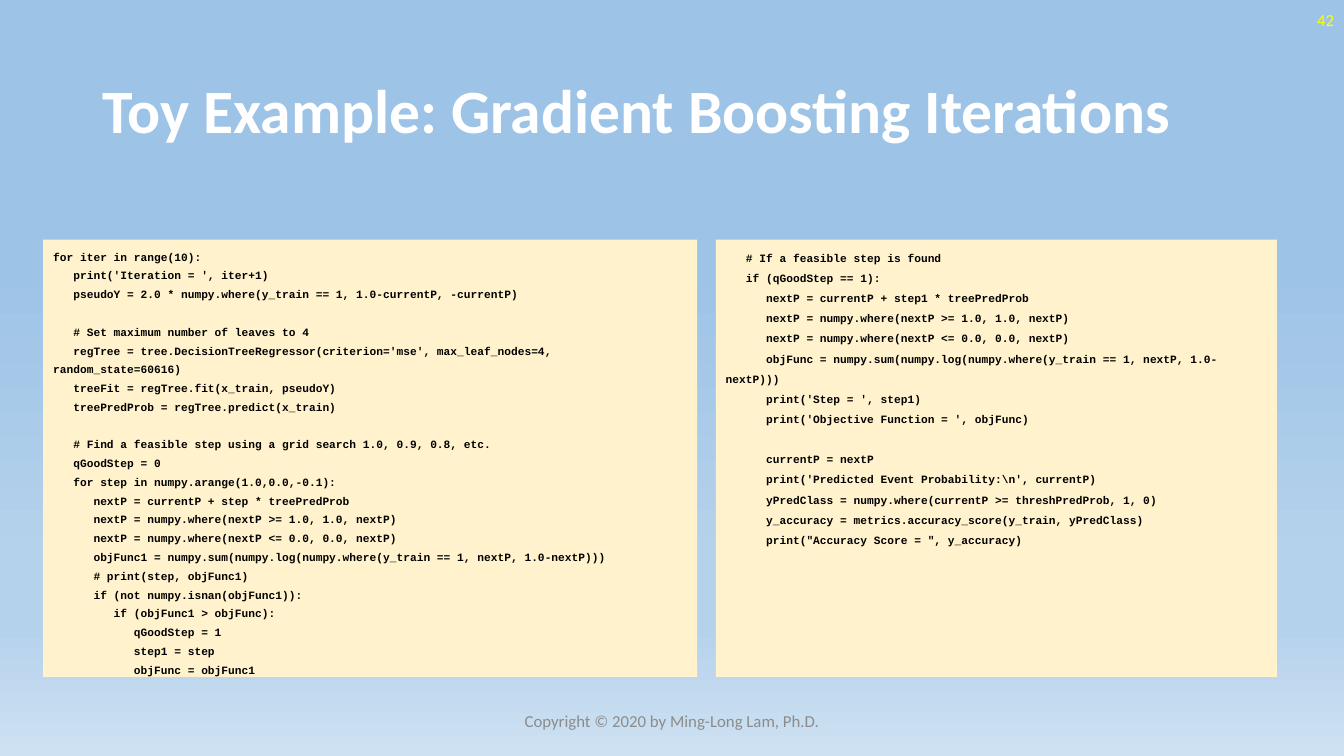
"""Build the slide on gradient boosting iterations with two code panels."""
from pptx import Presentation
from pptx.dml.color import RGBColor
from pptx.enum.shapes import MSO_SHAPE as Shape
from pptx.enum.text import MSO_ANCHOR as Anchor, PP_ALIGN as Align
from pptx.oxml import parse_xml
from pptx.oxml.ns import nsdecls, qn
from pptx.util import Cm, Pt

WHITE = RGBColor(0xFF, 0xFF, 0xFF)
YELLOW = RGBColor(0xFF, 0xFF, 0x00)
GRAY = RGBColor(0x8C, 0x8C, 0x8C)
BLACK = RGBColor(0x00, 0x00, 0x00)
CREAM = RGBColor(0xFF, 0xF2, 0xCC)
SKY = RGBColor(0x9D, 0xC3, 0xE6)
PALE_SKY = RGBColor(0xB5, 0xD2, 0xEC)
MIST = RGBColor(0xCE, 0xE1, 0xF2)
BACKGROUND_STOPS = [(35, SKY), (74, PALE_SKY), (83, PALE_SKY), (100, MIST)]
CODE_LINE_HEIGHT = 9.58

SEARCH_BLOCKS = [
    """for iter in range(10):
   print('Iteration = ', iter+1)
   pseudoY = 2.0 * numpy.where(y_train == 1, 1.0-currentP, -currentP)""",
    """   # Set maximum number of leaves to 4
   regTree = tree.DecisionTreeRegressor(criterion='mse', max_leaf_nodes=4, random_state=60616)
   treeFit = regTree.fit(x_train, pseudoY)
   treePredProb = regTree.predict(x_train)""",
    """   # Find a feasible step using a grid search 1.0, 0.9, 0.8, etc.
   qGoodStep = 0
   for step in numpy.arange(1.0,0.0,-0.1):
      nextP = currentP + step * treePredProb
      nextP = numpy.where(nextP >= 1.0, 1.0, nextP)
      nextP = numpy.where(nextP <= 0.0, 0.0, nextP)
      objFunc1 = numpy.sum(numpy.log(numpy.where(y_train == 1, nextP, 1.0-nextP)))
      # print(step, objFunc1)
      if (not numpy.isnan(objFunc1)):
         if (objFunc1 > objFunc):
            qGoodStep = 1
            step1 = step
            objFunc = objFunc1""",
]

UPDATE_BLOCKS = [
    """   # If a feasible step is found
   if (qGoodStep == 1):
      nextP = currentP + step1 * treePredProb
      nextP = numpy.where(nextP >= 1.0, 1.0, nextP)
      nextP = numpy.where(nextP <= 0.0, 0.0, nextP)
      objFunc = numpy.sum(numpy.log(numpy.where(y_train == 1, nextP, 1.0-nextP)))
      print('Step = ', step1)
      print('Objective Function = ', objFunc)""",
    r"""      currentP = nextP
      print('Predicted Event Probability:\n', currentP)
      yPredClass = numpy.where(currentP >= threshPredProb, 1, 0)
      y_accuracy = metrics.accuracy_score(y_train, yPredClass)
      print("Accuracy Score = ", y_accuracy)""",
]


def add_line(para, text, align, spacing, font_format):
    """Write one formatted line of text into a paragraph."""
    para.alignment = align
    para.line_spacing = spacing
    span = para.add_run()
    span.text = text
    for name, value in font_format.items():
        if name == "color":
            span.font.color.rgb = value
        else:
            setattr(span.font, name, value)


deck = Presentation()
deck.slide_width, deck.slide_height = Cm(33.87), Cm(19.05)
page = deck.slides.add_slide(deck.slide_layouts[6])

background = page.background.fill
background.gradient()
background.gradient_angle = 270
stop_list = next(page.element.iter(qn("a:gsLst")))
for stop in list(stop_list):
    stop_list.remove(stop)
for percent, color in BACKGROUND_STOPS:
    stop_list.append(parse_xml(
        f'<a:gs {nsdecls("a")} pos="{percent * 1000}"><a:srgbClr val="{color}"/></a:gs>'))

labels = [
    ("Toy Example: Gradient Boosting Iterations", (2.33, 1.01, 29.21, 3.68), Align.LEFT, 0.9,
     {"name": "Calibri", "size": Pt(44), "bold": True, "color": WHITE}),
    ("42", (26.25, 0, 7.62, 1.01), Align.RIGHT, 1.0,
     {"name": "Calibri", "size": Pt(12), "color": YELLOW}),
    ("Copyright © 2020 by Ming-Long Lam, Ph.D.", (11.22, 17.66, 11.43, 1.01), Align.CENTER, 1.0,
     {"name": "Calibri", "size": Pt(12), "color": GRAY}),
]
for text, place, align, spacing, font_format in labels:
    box = page.shapes.add_textbox(*map(Cm, place))
    box.text_frame.word_wrap = True
    box.text_frame.vertical_anchor = Anchor.MIDDLE
    add_line(box.text_frame.paragraphs[0], text, align, spacing, font_format)

code_format = {"name": "Courier New", "size": Pt(8), "bold": True, "color": BLACK}
panels = [(SEARCH_BLOCKS, 1.09, 16.48, 1.4), (UPDATE_BLOCKS, 18.04, 14.14, 1.5)]
for blocks, left, width, spacing in panels:
    panel = page.shapes.add_shape(Shape.RECTANGLE, Cm(left), Cm(6.04), Cm(width), Cm(11.02))
    panel.shadow.inherit = False
    panel.fill.solid()
    panel.fill.fore_color.rgb = CREAM
    panel.line.fill.background()
    frame = panel.text_frame
    frame.word_wrap = True
    frame.vertical_anchor = Anchor.TOP
    for block_number, block in enumerate(blocks):
        for line_number, line in enumerate(block.split("\n")):
            first = block_number == line_number == 0
            para = frame.paragraphs[0] if first else frame.add_paragraph()
            if block_number and line_number == 0:
                para.space_before = Pt(round(CODE_LINE_HEIGHT * spacing, 1))
            add_line(para, line, Align.LEFT, spacing, code_format)

deck.save("out.pptx")
